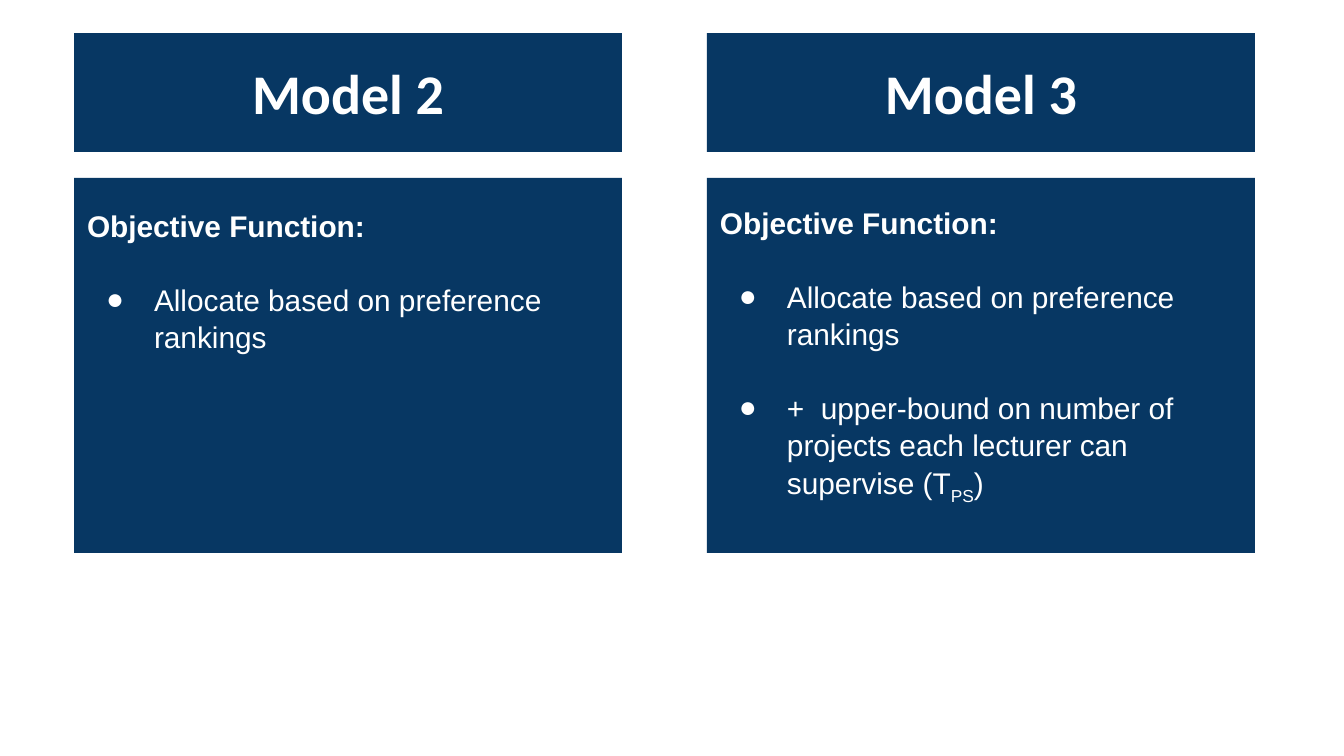
from dataclasses import dataclass

from lxml import etree
from pptx import Presentation
from pptx import util as u
from pptx.dml.color import RGBColor
from pptx.enum import shapes, text
from pptx.oxml.ns import qn

PX_PER_INCH = 134.4


@dataclass(frozen=True)
class Theme:
    panel: RGBColor = RGBColor(0x07, 0x37, 0x63)
    ink: RGBColor = RGBColor(0xFF, 0xFF, 0xFF)
    heading_font: str = "Calibri"
    body_font: str = "Arial"
    heading_size: int = 30
    body_size: int = 16


THEME = Theme()
COLUMN_WIDTH = 548
HEADING_TOP, HEADING_HEIGHT = 33, 119
BODY_TOP, BODY_HEIGHT = 178, 375
INSET = 13
PARAGRAPH_GAP = 36
BULLET_INDENT, BULLET_HANG = 67, 48


def px(length):
    return u.Emu(round(length * u.Inches(1) / PX_PER_INCH))


def add_panel(slide, left, top, height, inset_top=INSET,
              anchor=text.MSO_ANCHOR.MIDDLE):
    """Add a filled rectangle and return its text frame."""
    panel = slide.shapes.add_shape(
        shapes.MSO_SHAPE.RECTANGLE,
        px(left), px(top), px(COLUMN_WIDTH), px(height))
    panel.shadow.inherit = False
    panel.fill.solid()
    panel.fill.fore_color.rgb = THEME.panel
    panel.line.fill.background()
    frame = panel.text_frame
    frame.word_wrap = True
    frame.vertical_anchor = anchor
    frame.margin_left = frame.margin_right = frame.margin_bottom = px(INSET)
    frame.margin_top = px(inset_top)
    return frame


def write(paragraph, words, font=THEME.body_font, size=THEME.body_size,
          bold=False, baseline=0):
    """Append a run; baseline is a percentage, negative for subscript."""
    run = paragraph.add_run()
    run.text = words
    run.font.name = font
    run.font.size = u.Pt(size)
    run.font.bold = bold
    run.font.color.rgb = THEME.ink
    if baseline:
        run.font._element.set("baseline", str(baseline * 1000))


def add_bullet(frame, pieces):
    """Add a bulleted paragraph made of (words, baseline) pieces."""
    paragraph = frame.add_paragraph()
    paragraph.alignment = text.PP_ALIGN.LEFT
    paragraph.line_spacing = 1.05
    paragraph.space_before = px(PARAGRAPH_GAP)
    properties = paragraph._p.get_or_add_pPr()
    properties.set("marL", str(px(BULLET_INDENT)))
    properties.set("indent", str(-px(BULLET_HANG)))
    colour = etree.SubElement(properties, qn("a:buClr"))
    etree.SubElement(colour, qn("a:srgbClr"), val=str(THEME.ink))
    etree.SubElement(properties, qn("a:buFont"), typeface=THEME.body_font)
    etree.SubElement(properties, qn("a:buChar"), char="●")
    for words, baseline in pieces:
        write(paragraph, words, baseline=baseline)


def add_model(slide, left, name, bullets, inset_top):
    heading = add_panel(slide, left, HEADING_TOP, HEADING_HEIGHT).paragraphs[0]
    heading.alignment = text.PP_ALIGN.CENTER
    write(heading, name, font=THEME.heading_font, size=THEME.heading_size,
          bold=True)

    body = add_panel(slide, left, BODY_TOP, BODY_HEIGHT, inset_top=inset_top,
                     anchor=text.MSO_ANCHOR.TOP)
    objective = body.paragraphs[0]
    objective.alignment = text.PP_ALIGN.LEFT
    objective.line_spacing = 1.05
    write(objective, "Objective Function:", bold=True)
    for pieces in bullets:
        add_bullet(body, pieces)


def main():
    deck = Presentation()
    deck.slide_width, deck.slide_height = px(1344), px(756)
    blank_layout = deck.slide_layouts.get_by_name("Blank")
    slide = deck.slides.add_slide(blank_layout)

    preference = [("Allocate based on preference rankings", 0)]
    upper_bound = [
        ("+  upper-bound on number of projects each lecturer can "
         "supervise (T", 0),
        ("PS", -25),
        (")", 0),
    ]
    add_model(slide, 74, "Model 2", [preference], inset_top=28)
    add_model(slide, 707, "Model 3", [preference, upper_bound], inset_top=25)
    deck.save("out.pptx")


if __name__ == "__main__":
    main()
